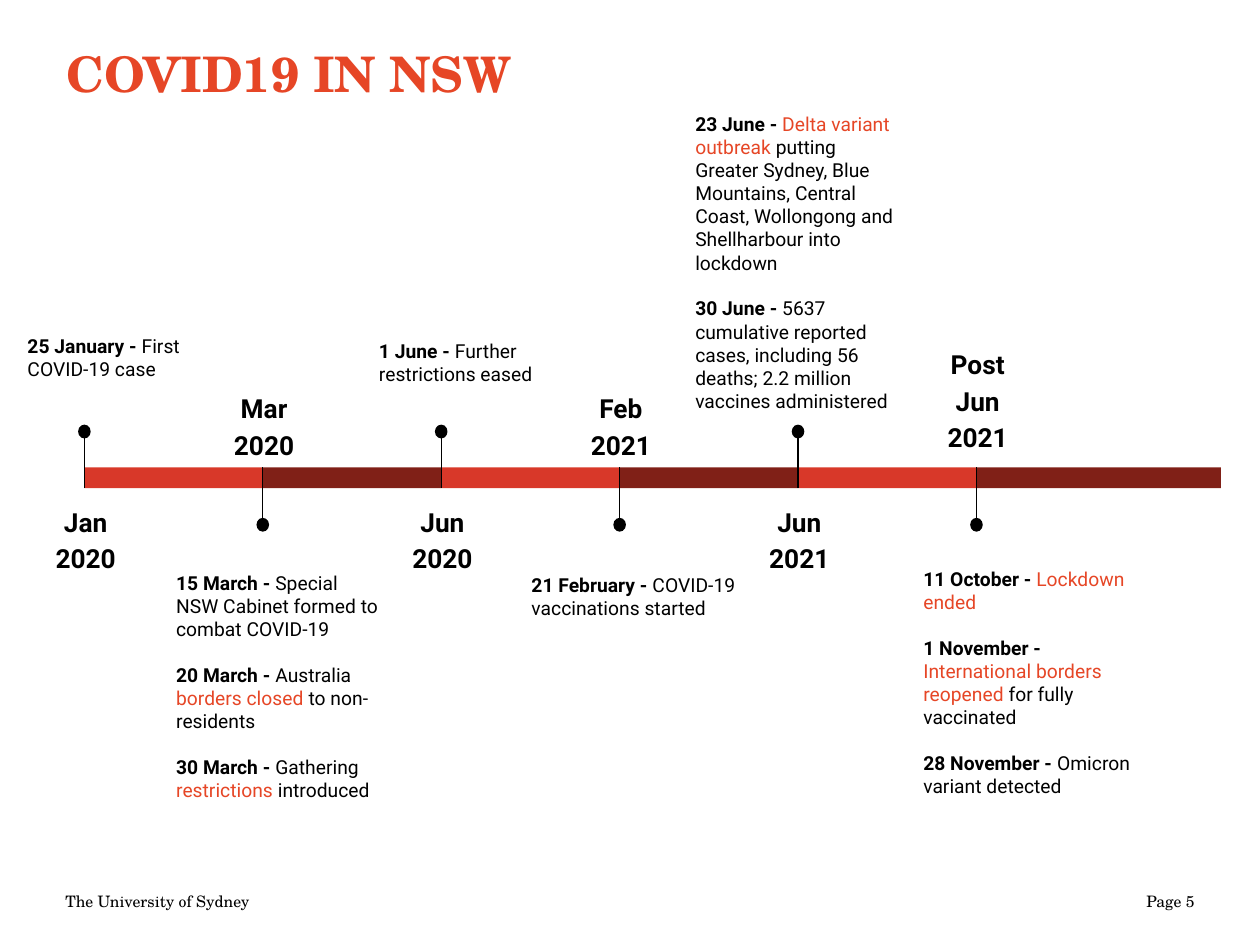
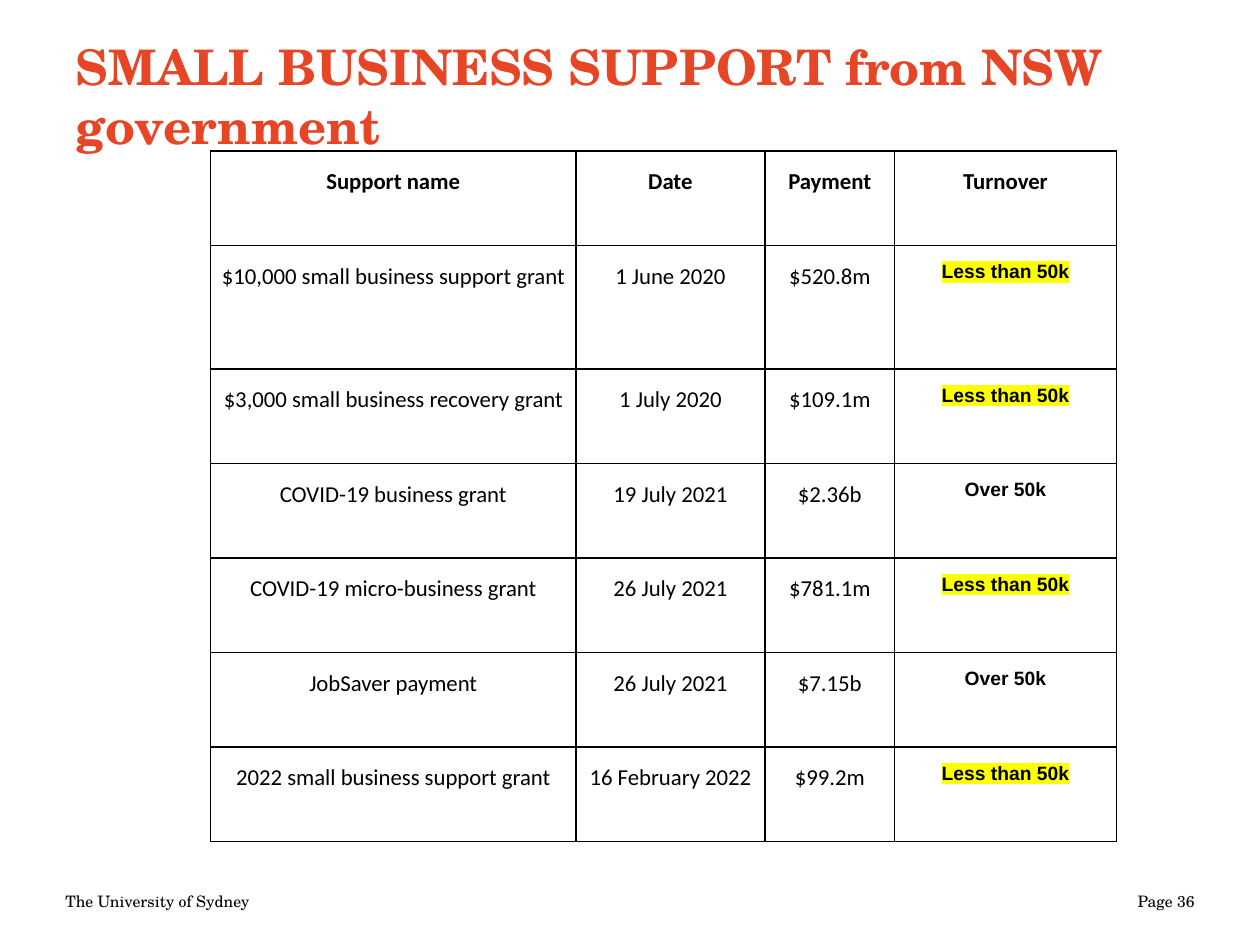
from dataclasses import dataclass

from lxml.etree import SubElement
from pptx import Presentation
from pptx.dml.color import RGBColor
from pptx.enum.shapes import MSO_CONNECTOR, MSO_SHAPE
from pptx.enum.text import MSO_ANCHOR, MSO_AUTO_SIZE, PP_ALIGN
from pptx.oxml.ns import qn
from pptx.util import Inches, Pt


@dataclass(frozen=True)
class Theme:
    ink: str = "000000"
    accent: str = "E64626"
    bright_bar: str = "D83829"
    dark_bar: str = "802017"
    marker: str = "FFFF00"
    serif: str = "TeX Gyre Schola"
    sans: str = "Roboto"
    table_face: str = "Calibri"
    turnover_face: str = "Arial"
    title_size: float = 28
    footer_size: float = 9
    date_size: float = 15
    note_size: float = 11
    table_size: float = 13
    turnover_size: float = 11
    note_gap: float = 13
    line_width: float = 0.75
    border_width: float = 1


THEME = Theme()
WIDTH, HEIGHT = Inches(10), Inches(7.5)
COLUMNS, ROWS = 100, 75
TITLE_ONLY = 5


class Deck:
    def __init__(self, theme):
        self.theme = theme
        self.presentation = Presentation()
        self.presentation.slide_width = WIDTH
        self.presentation.slide_height = HEIGHT
        self.slide = None

    def across(self, columns):
        return round(columns * WIDTH / COLUMNS)

    def down(self, rows):
        return round(rows * HEIGHT / ROWS)

    def area(self, left, top, width, height):
        return self.across(left), self.down(top), self.across(width), self.down(height)

    def start(self, title, page, left, top):
        layout = self.presentation.slide_layouts[TITLE_ONLY]
        self.slide = self.presentation.slides.add_slide(layout)
        heading = self.slide.shapes.title
        heading.left, heading.top, heading.width, heading.height = self.area(left, top, 90, 12.5)
        self.frame(heading, 0.05, MSO_ANCHOR.MIDDLE)
        heading.text_frame.text = title
        self.style(heading.text_frame.paragraphs[0], self.theme.serif,
                   self.theme.title_size, self.theme.accent, bold=True)
        for left, words, side in ((4.2, "The University of Sydney", PP_ALIGN.LEFT),
                                  (72.5, f"Page {page}", PP_ALIGN.RIGHT)):
            footer = self.text((left, 69.5, 23.3, 4), 0.05, MSO_ANCHOR.MIDDLE)
            footer.text = words
            self.style(footer.paragraphs[0], self.theme.serif, self.theme.footer_size, align=side)

    def frame(self, shape, inset, anchor):
        frame = shape.text_frame
        frame.word_wrap = True
        frame.auto_size = MSO_AUTO_SIZE.NONE
        frame.vertical_anchor = anchor
        frame.margin_left = frame.margin_right = Inches(0.1)
        frame.margin_top = frame.margin_bottom = Inches(inset)
        return frame

    def text(self, area, inset=0.1, anchor=MSO_ANCHOR.TOP):
        return self.frame(self.slide.shapes.add_textbox(*self.area(*area)), inset, anchor)

    def style(self, paragraph, face, size, color=None, bold=None, align=PP_ALIGN.LEFT):
        paragraph.alignment = align
        font = paragraph.font
        font.name, font.size, font.bold = face, Pt(size), bold
        font.color.rgb = RGBColor.from_string(color or self.theme.ink)

    def shape(self, kind, area, color):
        shape = self.slide.shapes.add_shape(kind, *self.area(*area))
        shape.shadow.inherit = False
        shape.fill.solid()
        shape.fill.fore_color.rgb = RGBColor.from_string(color)
        shape.line.fill.background()

    def stem(self, x, top, bottom):
        stem = self.slide.shapes.add_connector(
            MSO_CONNECTOR.STRAIGHT, self.across(x), self.down(top),
            self.across(x), self.down(bottom))
        stem.line.width = Pt(self.theme.line_width)
        stem.line.color.rgb = RGBColor.from_string(self.theme.ink)
        SubElement(stem._element.spPr, qn("a:effectLst"))

    def date(self, words, center, top):
        label = self.text((center - 4, top, 8, 4.6))
        label.text = words
        paragraph = label.paragraphs[0]
        paragraph.line_spacing = 1.15
        self.style(paragraph, self.theme.sans, self.theme.date_size,
                   bold=True, align=PP_ALIGN.CENTER)

    def notes(self, entries, left, top, height):
        frame = self.text((left, top, 18.4, height))
        for index, (day, story) in enumerate(entries):
            paragraph = frame.add_paragraph() if index else frame.paragraphs[0]
            if index:
                paragraph.space_before = Pt(self.theme.note_gap)
            self.style(paragraph, self.theme.sans, self.theme.note_size)
            opening = paragraph.add_run()
            opening.text = f"{day} - "
            opening.font.bold = True
            for part, words in enumerate(story.split("|")):
                if words:
                    run = paragraph.add_run()
                    run.text = words
                    if part % 2:
                        run.font.color.rgb = RGBColor.from_string(self.theme.accent)

    def table(self, records, left, top, widths, heights):
        area = self.area(left, top, sum(widths), sum(heights))
        table = self.slide.shapes.add_table(len(heights), len(widths), *area).table
        table.first_row = table.horz_banding = False
        for column, width in zip(table.columns, widths):
            column.width = self.across(width)
        for row, height, record in zip(table.rows, heights, records):
            row.height = self.down(height)
            heading = record is records[0]
            for cell, words in zip(row.cells, record):
                turnover = words is record[-1] and not heading
                self.cell(cell, words, heading, turnover)

    def cell(self, cell, words, heading, turnover):
        cell.margin_left = cell.margin_right = Inches(0.07)
        cell.margin_top = cell.margin_bottom = Inches(0.1)
        cell.text = words
        paragraph = cell.text_frame.paragraphs[0]
        paragraph.line_spacing = 1.15
        paragraph.space_after = Pt(12)
        face, size = ((self.theme.turnover_face, self.theme.turnover_size) if turnover
                      else (self.theme.table_face, self.theme.table_size))
        self.style(paragraph, face, size, bold=heading or turnover, align=PP_ALIGN.CENTER)
        if turnover and words.startswith("Less"):
            highlight = SubElement(paragraph.runs[0]._r.get_or_add_rPr(), qn("a:highlight"))
            SubElement(highlight, qn("a:srgbClr"), val=self.theme.marker)
        properties = cell._tc.get_or_add_tcPr()
        for side in ("lnL", "lnR", "lnT", "lnB"):
            border = SubElement(properties, qn(f"a:{side}"), w=str(Pt(self.theme.border_width)))
            fill = SubElement(border, qn("a:solidFill"))
            SubElement(fill, qn("a:srgbClr"), val=self.theme.ink)
        cell.fill.background()

    def save(self):
        self.presentation.save("out.pptx")


@dataclass(frozen=True)
class Milestone:
    date: str
    note_left: float
    note_top: float
    note_height: float
    entries: tuple
    date_top: float


BELOW, ABOVE = 38.8, 29.8

MILESTONES = (
    Milestone("Jan 2020", 1.2, 25.5, 11.6, (("25 January", "First COVID-19 case"),), BELOW),
    Milestone("Mar 2020", 13, 44.3, 13.9, (
        ("15 March", "Special NSW Cabinet formed to combat COVID-19"),
        ("20 March", "Australia |borders closed| to non-residents"),
        ("30 March", "Gathering |restrictions| introduced")), ABOVE),
    Milestone("Jun 2020", 29.1, 25.9, 11.6, (("1 June", "Further restrictions eased"),), BELOW),
    Milestone("Feb 2021", 41.2, 44.5, 11.6,
              (("21 February", "COVID-19 vaccinations started"),), ABOVE),
    Milestone("Jun 2021", 54.2, 7.9, 11.6, (
        ("23 June", "|Delta variant outbreak| putting Greater Sydney, Blue Mountains, "
                    "Central Coast, Wollongong and Shellharbour into lockdown"),
        ("30 June", "5637 cumulative reported cases, including 56 deaths; "
                    "2.2 million vaccines administered")), BELOW),
    Milestone("Post Jun 2021", 72.3, 44, 6.1, (
        ("11 October", "|Lockdown ended|"),
        ("1 November", "|International borders reopened| for fully vaccinated"),
        ("28 November", "Omicron variant detected")), 26.3),
)

SUPPORT = (
    ("Support name", "Date", "Payment", "Turnover"),
    ("$10,000 small business support grant", "1 June 2020", "$520.8m", "Less than 50k"),
    ("$3,000 small business recovery grant", "1 July 2020", "$109.1m", "Less than 50k"),
    ("COVID-19 business grant", "19 July 2021", "$2.36b", "Over 50k"),
    ("COVID-19 micro-business grant", "26 July 2021", "$781.1m", "Less than 50k"),
    ("JobSaver payment", "26 July 2021", "$7.15b", "Over 50k"),
    ("2022 small business support grant", "16 February 2022", "$99.2m", "Less than 50k"),
)


def build_timeline(deck):
    first, step, end, bar_top, bar_height = 6.7, 14.16, 96.9, 37.1, 1.65
    deck.start("COVID19 IN NSW", 5, 4.3, -0.5)
    for index, milestone in enumerate(MILESTONES):
        x = first + index * step
        last = index == len(MILESTONES) - 1
        downward = index % 2
        deck.shape(MSO_SHAPE.RECTANGLE, (x, bar_top, end - x if last else step, bar_height),
                   THEME.dark_bar if downward else THEME.bright_bar)
        deck.stem(x, *((bar_top, 41.6) if downward else (34.3, bar_top + bar_height)))
        deck.shape(MSO_SHAPE.OVAL, (x - 0.5, 41.1 if downward else 33.7, 1, 1.1), THEME.ink)
        deck.date(milestone.date, x + 0.1, milestone.date_top)
        deck.notes(milestone.entries, milestone.note_left, milestone.note_top,
                   milestone.note_height)


def build_support(deck):
    deck.start("SMALL BUSINESS SUPPORT from NSW government", 36, 5, 1.3)
    deck.table(SUPPORT, 16.7, 12, (29, 15, 10.3, 17.6), (7.5, 9.8) + (7.5,) * 5)


def main():
    deck = Deck(THEME)
    build_timeline(deck)
    build_support(deck)
    deck.save()


if __name__ == "__main__":
    main()
